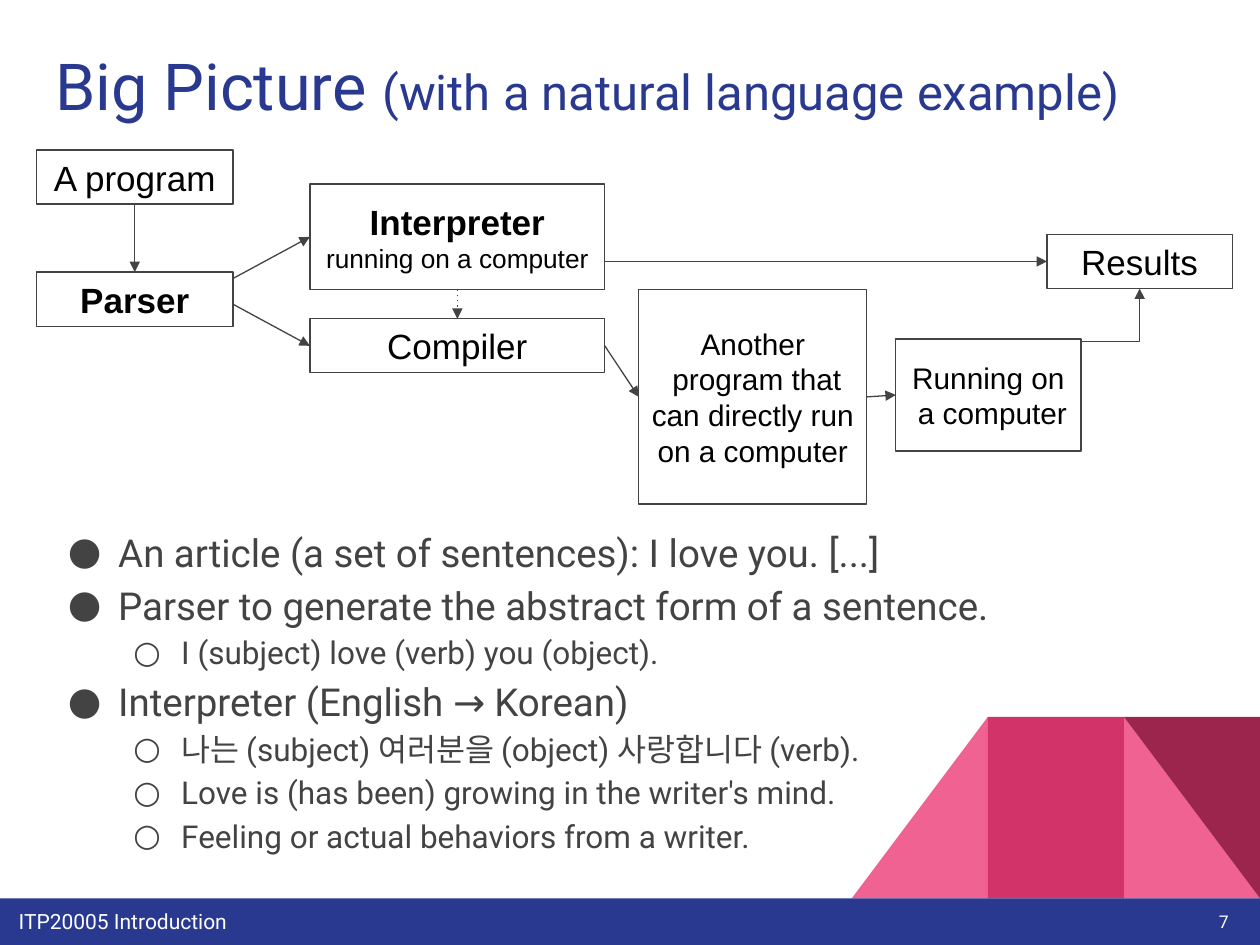
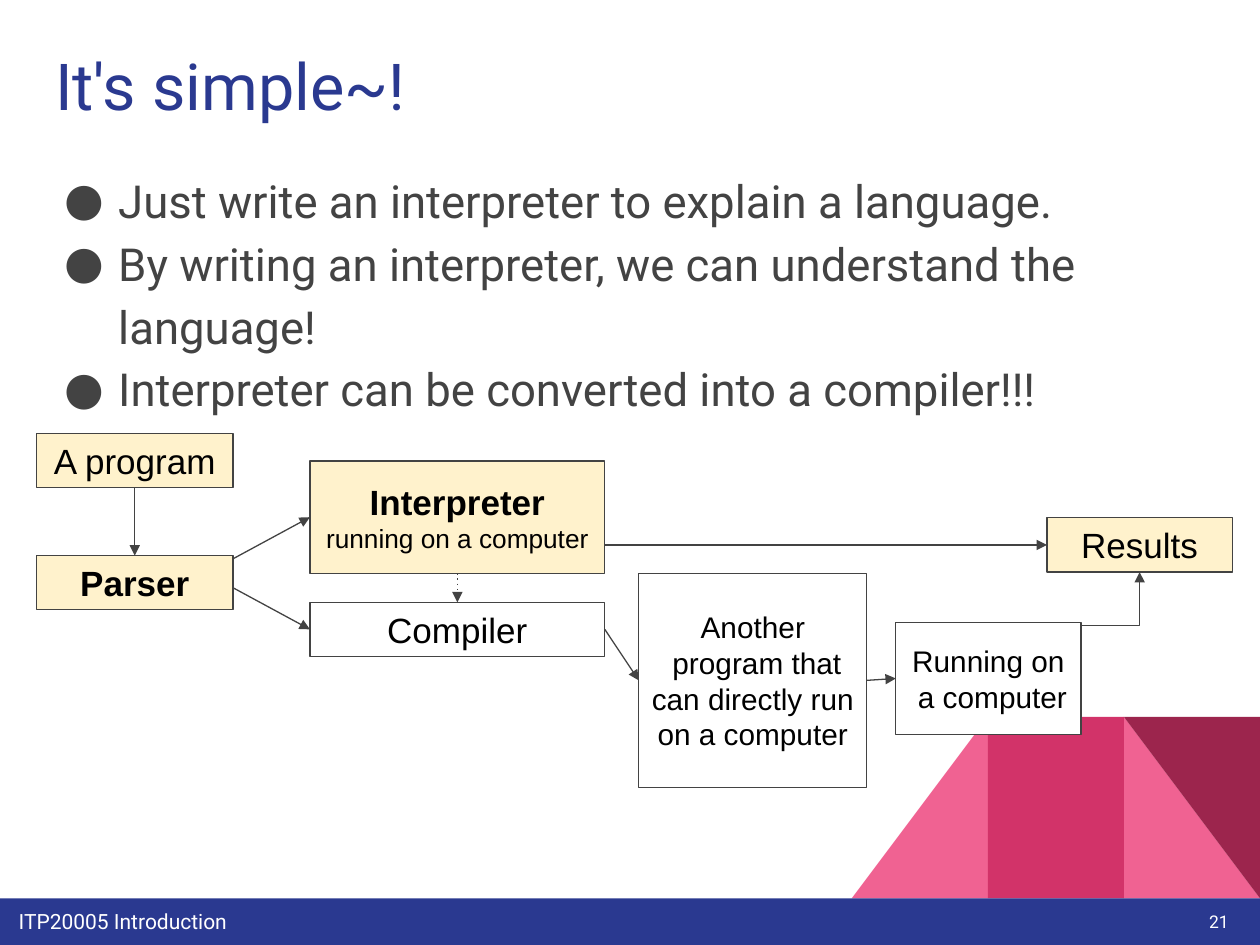
"""Builds two lecture slides on interpreters and compilers."""
from dataclasses import dataclass
from typing import Any, NamedTuple, Optional

from lxml.etree import SubElement
from pptx import Presentation
from pptx.dml.color import RGBColor
from pptx.enum.shapes import MSO_CONNECTOR, MSO_SHAPE
from pptx.enum.text import MSO_ANCHOR, PP_ALIGN
from pptx.oxml.ns import qn
from pptx.util import Inches, Pt

NAVY = RGBColor(0x2A, 0x39, 0x90)
PINK = RGBColor(0xF0, 0x62, 0x92)
ROSE = RGBColor(0xD2, 0x33, 0x69)
WINE = RGBColor(0x9C, 0x25, 0x4D)
CREAM = RGBColor(0xFF, 0xF2, 0xCC)
GRAY = RGBColor(0x43, 0x43, 0x43)
WHITE = RGBColor(0xFF, 0xFF, 0xFF)
BLACK = RGBColor(0, 0, 0)

FRAME = dict(word_wrap=True, vertical_anchor=MSO_ANCHOR.TOP,
             **{f"margin_{side}": Inches(0.1)
                for side in ("left", "top", "right", "bottom")})
MIDDLE = {**FRAME, "vertical_anchor": MSO_ANCHOR.MIDDLE}


class Run(NamedTuple):
    text: str
    size: float
    bold: bool = False


class Bullet(NamedTuple):
    text: str
    size: float
    hang: float
    level: int = 0


class Facet(NamedTuple):
    shape: MSO_SHAPE
    column: int
    color: RGBColor
    rotation: int = 0
    flip: bool = False


@dataclass
class Box:
    left: float
    top: float
    width: float
    height: float
    runs: list[Run]
    fill: Optional[RGBColor] = None

    @property
    def right(self) -> float:
        return self.left + self.width

    @property
    def bottom(self) -> float:
        return self.top + self.height

    @property
    def center(self) -> float:
        return self.left + self.width / 2

    @property
    def middle(self) -> float:
        return self.top + self.height / 2


FACETS = [
    Facet(MSO_SHAPE.RIGHT_TRIANGLE, 2, PINK),
    Facet(MSO_SHAPE.RIGHT_TRIANGLE, 0, PINK, flip=True),
    Facet(MSO_SHAPE.RECTANGLE, 1, ROSE),
    Facet(MSO_SHAPE.RIGHT_TRIANGLE, 2, WINE, rotation=180),
]


def apply(target: Any, values: dict[str, Any]) -> None:
    """Set each named value on the target."""
    for name, value in values.items():
        setattr(target, name, value)


def inches(*lengths: float) -> list[int]:
    """Convert lengths to slide units."""
    return [Inches(length) for length in lengths]


def add_runs(p: Any, runs: list[Run], font: str, color: RGBColor) -> None:
    """Add formatted runs, with a line break at each newline."""
    for run in runs:
        for i, part in enumerate(run.text.split("\n")):
            if i:
                p.add_line_break()
            r = p.add_run()
            r.text = part
            apply(r.font, dict(name=font, size=Pt(run.size), bold=run.bold))
            r.font.color.rgb = color


def add_text(s: Any, place: tuple, runs: list[Run], color: RGBColor,
             frame: dict = FRAME, align: PP_ALIGN = PP_ALIGN.LEFT) -> None:
    """Add a one-paragraph text box."""
    tf = s.shapes.add_textbox(*inches(*place)).text_frame
    apply(tf, frame)
    p = tf.paragraphs[0]
    p.alignment = align
    add_runs(p, runs, "Roboto", color)


def add_block(s: Any, kind: MSO_SHAPE, place: tuple,
              fill: Optional[RGBColor]) -> Any:
    """Add a shape without shadow or outline."""
    sp = s.shapes.add_shape(kind, *inches(*place))
    sp.shadow.inherit = False
    sp.line.fill.background()
    if fill is None:
        sp.fill.background()
    else:
        sp.fill.solid()
        sp.fill.fore_color.rgb = fill
    return sp


def add_bullets(s: Any, place: tuple, bullets: list[Bullet]) -> None:
    """Add the bulleted body text."""
    tf = s.shapes.add_textbox(*inches(*place)).text_frame
    apply(tf, FRAME)
    for i, bullet in enumerate(bullets):
        p = tf.add_paragraph() if i else tf.paragraphs[0]
        apply(p, dict(level=bullet.level, line_spacing=1.15))
        pPr = p._p.get_or_add_pPr()
        pPr.set("marL", str(Inches(0.5 * (bullet.level + 1))))
        pPr.set("indent", str(-Inches(bullet.hang)))
        color = SubElement(pPr, qn("a:buClr"))
        SubElement(color, qn("a:srgbClr"), val=str(GRAY))
        SubElement(pPr, qn("a:buFont"), typeface="Roboto")
        SubElement(pPr, qn("a:buChar"), char="●○"[bullet.level])
        add_runs(p, [Run(bullet.text, bullet.size)], "Roboto", GRAY)


def add_box(s: Any, box: Box) -> None:
    """Add an outlined diagram box with centred text."""
    sp = add_block(s, MSO_SHAPE.RECTANGLE,
                   (box.left, box.top, box.width, box.height), box.fill)
    sp.line.color.rgb = GRAY
    sp.line.width = Pt(0.75)
    apply(sp.text_frame, MIDDLE)
    p = sp.text_frame.paragraphs[0]
    p.alignment = PP_ALIGN.CENTER
    add_runs(p, box.runs, "Arial", BLACK)


def add_arrow(s: Any, start: tuple, end: tuple, dotted: bool = False,
              kind: MSO_CONNECTOR = MSO_CONNECTOR.STRAIGHT) -> Any:
    """Add a connector with an arrowhead at its end."""
    c = s.shapes.add_connector(kind, *inches(*start, *end))
    c.line.color.rgb = GRAY
    c.line.width = Pt(0.75)
    spPr = c._element.spPr
    ln = spPr.find(qn("a:ln"))
    if dotted:
        SubElement(ln, qn("a:prstDash"), val="dot")
    SubElement(ln, qn("a:tailEnd"), type="triangle")
    SubElement(spPr, qn("a:effectLst"))
    return c


def add_rising_elbow(s: Any, start: tuple, end: tuple) -> None:
    """Add an elbow arrow that leaves and arrives vertically."""
    (x1, y1), (x2, y2) = start, end
    x, y = (x1 + x2) / 2, (y1 + y2) / 2
    half_w, half_h = (y1 - y2) / 2, (x2 - x1) / 2
    c = add_arrow(s, (x - half_w, y - half_h), (x + half_w, y + half_h),
                  kind=MSO_CONNECTOR.ELBOW)
    c._element.spPr.find(qn("a:xfrm")).set("rot", str(270 * 60000))


def add_diagram(s: Any, dy: float, interpreter_height: float,
                highlight: Optional[RGBColor] = None,
                running_fill: Optional[RGBColor] = None) -> None:
    """Draw the flow from a program to its results, moved down by dy."""
    interpreter = Box(2.46, 2.3 + dy - interpreter_height, 2.34,
                      interpreter_height,
                      [Run("Interpreter ", 20, True),
                       Run("running on a computer", 15)], highlight)
    compiler = Box(2.46, 2.53 + dy, 2.34, 0.43, [Run("Compiler", 20)])
    program = Box(0.29, 1.19 + dy, 1.56, 0.43, [Run("A program", 20)],
                  highlight)
    another = Box(5.07, 2.3 + dy, 1.81, 1.7,
                  [Run("Another\n program that can directly run "
                       "on a computer", 17)])
    running = Box(7.11, 2.69 + dy, 1.47, 0.89,
                  [Run("Running on\n a computer", 17)], running_fill)
    results = Box(8.31, 1.86 + dy, 1.47, 0.43, [Run("Results", 20)],
                  highlight)
    parser = Box(0.29, 2.16 + dy, 1.56, 0.43, [Run("Parser", 20, True)],
                 highlight)
    for box in (interpreter, compiler, program, another, running, results,
                parser):
        add_box(s, box)

    add_arrow(s, (program.center, program.bottom),
              (parser.center, parser.top))
    for target, offset in ((interpreter, 0.33), (compiler, -0.33)):
        add_arrow(s, (parser.right, target.middle + offset),
                  (target.left, target.middle))
    for source, target in ((compiler, another), (another, running)):
        add_arrow(s, (source.right, source.middle),
                  (target.left, target.middle))
    add_arrow(s, (interpreter.center, interpreter.bottom),
              (compiler.center, compiler.top), dotted=True)
    add_arrow(s, (interpreter.right, results.middle),
              (results.left, results.middle))
    add_rising_elbow(s, (running.right, running.middle),
                     (results.center, results.bottom))


def add_base(prs: Any, title: list[Run], number: int) -> Any:
    """Add a slide with the shared decoration, footer and title."""
    s = prs.slides.add_slide(prs.slide_layouts[6])
    for facet in FACETS:
        sp = add_block(s, facet.shape,
                       (6.76 + 1.08 * facet.column, 5.69, 1.08, 1.44),
                       facet.color)
        sp.rotation = facet.rotation
        if facet.flip:
            sp._element.spPr.find(qn("a:xfrm")).set("flipH", "1")
    add_block(s, MSO_SHAPE.RECTANGLE, (0, 7.13, 10, 0.37), NAVY)
    add_text(s, (0.05, 7.11, 7.35, 0.36),
             [Run("ITP20005 Introduction", 12)], WHITE)
    add_text(s, (0.34, 0.26, 9.32, 0.89), title, NAVY)
    add_text(s, (9.25, 7.03, 0.6, 0.57), [Run(str(number), 10)], WHITE,
             MIDDLE, PP_ALIGN.RIGHT)
    return s


def add_big_picture(prs: Any) -> None:
    """Build the slide with the natural language example."""
    s = add_base(prs, [Run("Big Picture ", 37),
                       Run("(with a natural language example)", 28)], 7)
    lines = [
        (0, "An article (a set of sentences): I love you. [...]"),
        (0, "Parser to generate the abstract form of a sentence."),
        (1, "I (subject) love (verb) you (object)."),
        (0, "Interpreter (English → Korean)"),
        (1, "나는 (subject) 여러분을 (object) 사랑합니다 (verb)."),
        (1, "Love is (has been) growing in the writer's mind."),
        (1, "Feeling or actual behaviors from a writer."),
    ]
    add_bullets(s, (0.34, 4.04, 9.66, 0.89),
                [Bullet(text, (22, 18)[level], (0.4, 0.38)[level], level)
                 for level, text in lines])
    add_diagram(s, 0, 0.84)


def add_simple(prs: Any) -> None:
    """Build the slide that highlights the interpreter route."""
    s = add_base(prs, [Run("It's simple~!", 37)], 21)
    lines = [
        "Just write an interpreter to explain a language.",
        "By writing an interpreter, we can understand the language!",
        "Interpreter can be converted into a compiler!!!",
    ]
    add_bullets(s, (0.34, 1.21, 9.66, 4.87),
                [Bullet(text, 26, 0.43) for text in lines])
    add_diagram(s, 2.25, 0.89, CREAM, WHITE)


def main() -> None:
    """Build and save the presentation."""
    prs = Presentation()
    apply(prs, dict(slide_width=Inches(10), slide_height=Inches(7.5)))
    add_big_picture(prs)
    add_simple(prs)
    prs.save("out.pptx")


if __name__ == "__main__":
    main()
